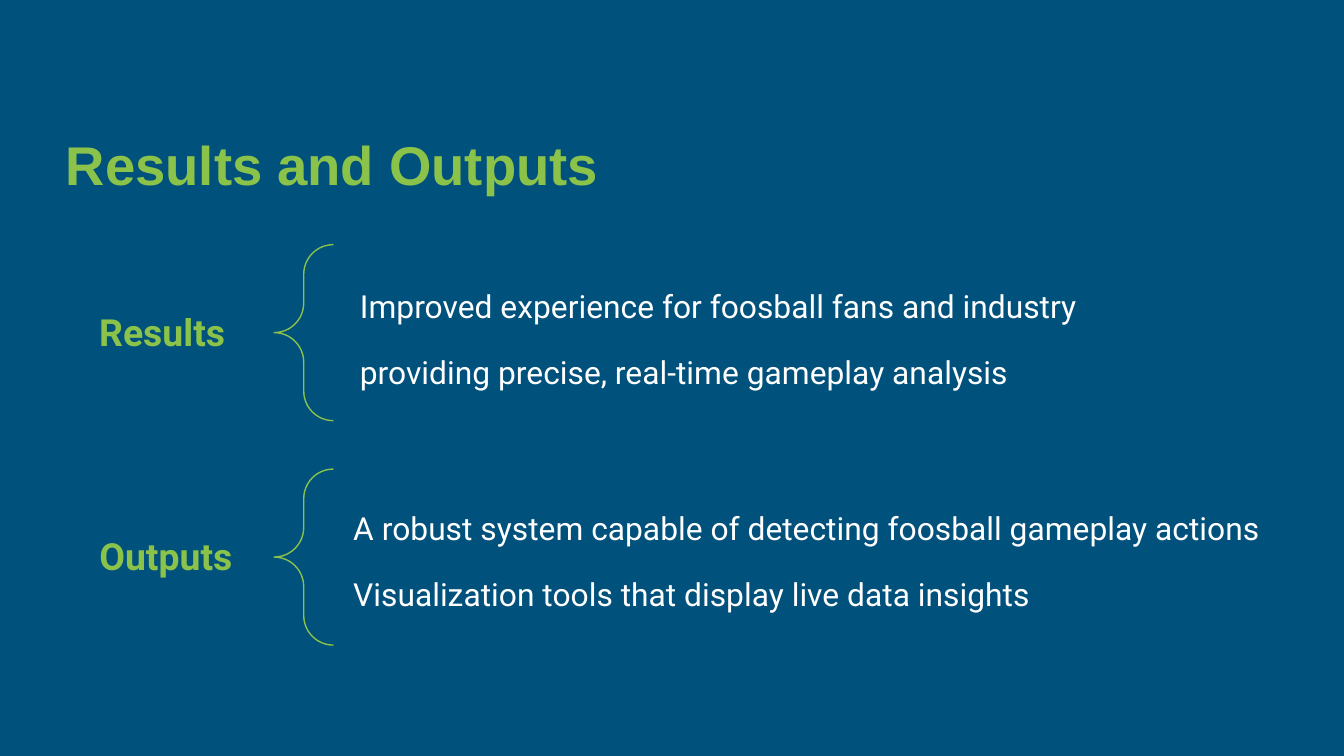
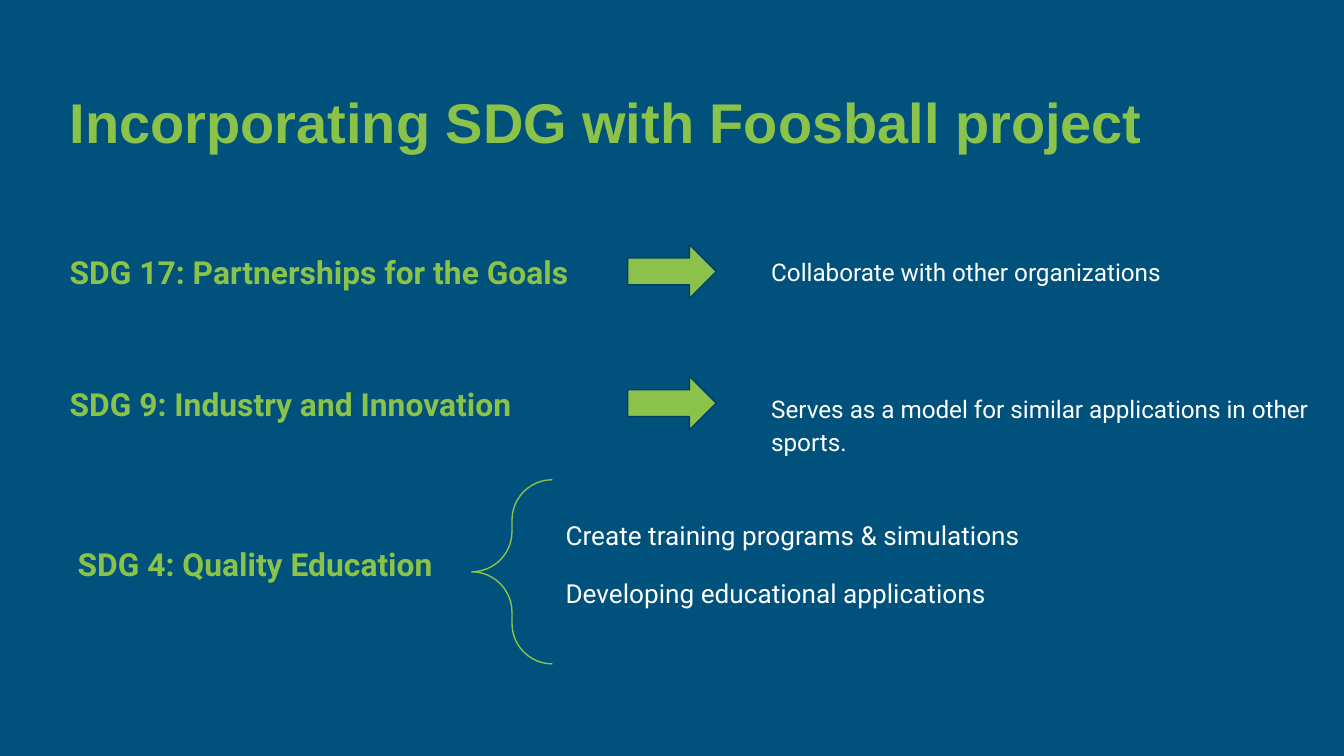
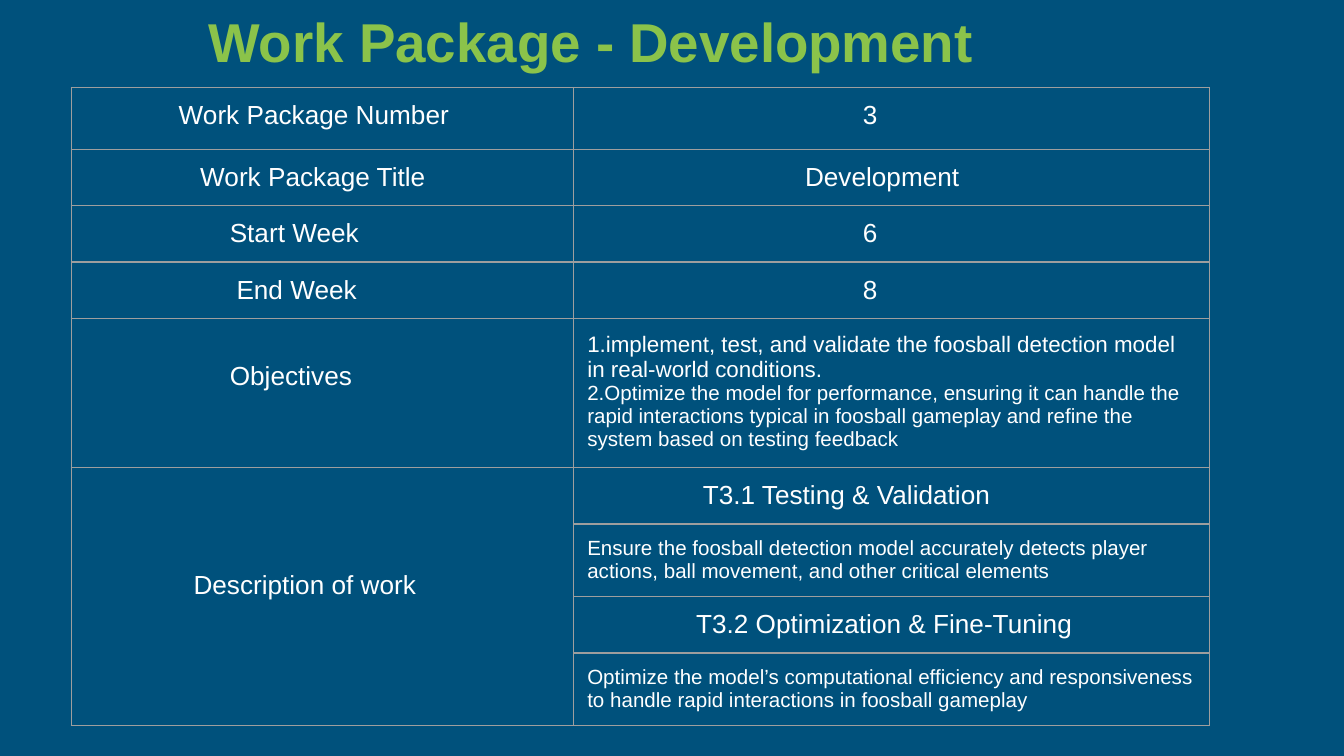
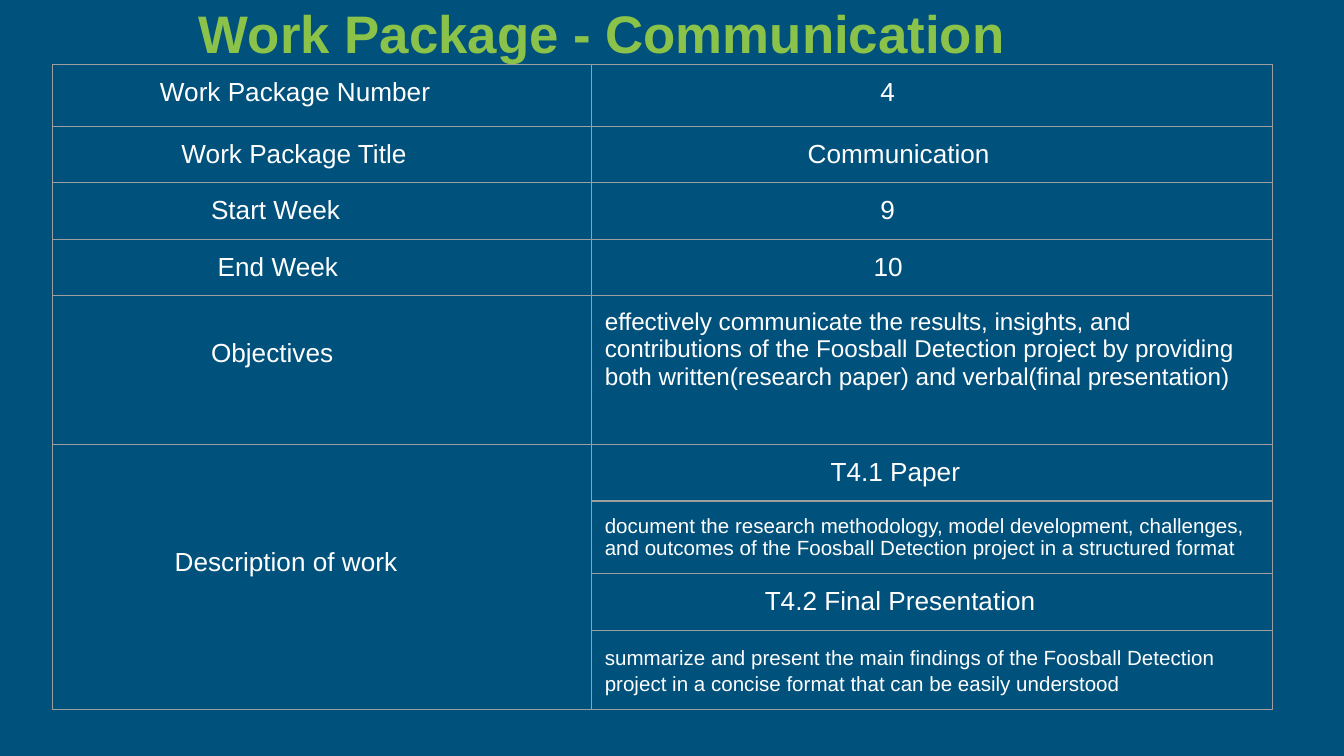
from lxml import etree
from pptx import Presentation
from pptx.dml.color import RGBColor
from pptx.enum import shapes, text
from pptx.oxml import ns
from pptx.util import Inches, Pt

NAVY, GREEN, WHITE = "00517C", "8BC34A", "FFFFFF"
ARROW_EDGE, GRID = "004065", "9E9E9E"
SLIDE_WIDTH = Inches(10)
SLIDE_HEIGHT = SLIDE_WIDTH * 9 // 16
INSET = 0.1
LABEL_INDENTS = (0.7, 0.86, 1.08, 1.13, 1.08, 0.81)
LABELS = ("Work Package Number", "Work Package Title", "Start Week",
          "End Week", "Objectives", "Description of work")
LABEL_DROPS = {"Objectives": 0.22, "Description of work": 0.67}
ROW_HEIGHTS = (0.46, 0.42, 0.42, 0.42, 1.11, 0.42, 0.42, 0.42, 0.42)
LISTED = dict(line_spacing=1.15, before=12)


def color(hex_string):
    return RGBColor.from_string(hex_string)


def inches(*lengths):
    return [Inches(length) for length in lengths]


# Text
def write(frame, lines, size=14, font="Arial", fill=WHITE, bold=False,
          line_spacing=None, before=None, after=None, indent=0):
    """Write one paragraph per line; size may be a tuple with one per line."""
    lines = [lines] if isinstance(lines, str) else lines
    sizes = size if isinstance(size, tuple) else (size,) * len(lines)
    for number, (line, points) in enumerate(zip(lines, sizes)):
        paragraph = frame.add_paragraph() if number else frame.paragraphs[0]
        paragraph.alignment = text.PP_ALIGN.LEFT
        if line_spacing:
            paragraph.line_spacing = line_spacing
        if before is not None:
            paragraph.space_before = Pt(before)
        if after is not None:
            paragraph.space_after = Pt(after)
        if indent:
            properties = paragraph._p.get_or_add_pPr()
            properties.set("marL", str(Inches(indent)))
            properties.set("indent", "0")
        run = paragraph.add_run()
        run.text = line
        run.font.size, run.font.name, run.font.bold = Pt(points), font, bold
        run.font.color.rgb = color(fill)


def set_insets(holder):
    holder.margin_left = holder.margin_right = Inches(INSET)
    holder.margin_top = holder.margin_bottom = Inches(INSET)


def add_text(slide, box, lines, **style):
    frame = slide.shapes.add_textbox(*inches(*box)).text_frame
    frame.word_wrap = True
    frame.auto_size = text.MSO_AUTO_SIZE.SHAPE_TO_FIT_TEXT
    set_insets(frame)
    write(frame, lines, font="Roboto", **style)


def add_titled_slide(deck, title, box, size):
    slide = deck.slides.add_slide(deck.slide_layouts[5])
    heading = slide.shapes.title
    heading.left, heading.top, heading.width, heading.height = inches(*box)
    frame = heading.text_frame
    frame.auto_size = text.MSO_AUTO_SIZE.NONE
    frame.vertical_anchor = text.MSO_ANCHOR.BOTTOM
    set_insets(frame)
    write(frame, title, size=size, fill=GREEN, bold=True)
    return slide


# Shapes
def add_outline(slide, kind, box, edge, fill=None):
    shape = slide.shapes.add_shape(kind, *inches(*box))
    shape.shadow.inherit = False
    shape.adjustments[0] = shape.adjustments[1] = 0.5
    if fill:
        shape.fill.solid()
        shape.fill.fore_color.rgb = color(fill)
    else:
        shape.fill.background()
    shape.line.color.rgb = color(edge)
    shape.line.width = Pt(0.75)


def add_brace_group(slide, left, top, label, label_box, label_size,
                    brace_box, points, points_box, points_size):
    """A label, a brace and its points; brace and points start from the left."""
    label_width, label_height = label_box
    brace_left, brace_width, brace_height = brace_box
    points_left, points_top, points_width, points_height = points_box
    add_text(slide, (left, top + 0.38, label_width, label_height), label,
             size=label_size, fill=GREEN, bold=True)
    add_outline(slide, shapes.MSO_SHAPE.LEFT_BRACE,
                (left + brace_left, top, brace_width, brace_height), GREEN)
    add_text(slide, (left + points_left, top + points_top,
                     points_width, points_height),
             points, size=points_size, **LISTED)


def add_arrow_row(slide, left, top, goal, goal_width, action, action_box):
    """A goal, an arrow and the action that follows from it."""
    drop, width, height = action_box
    add_text(slide, (left, top, goal_width, 0.49), goal,
             size=17, fill=GREEN, bold=True)
    add_outline(slide, shapes.MSO_SHAPE.RIGHT_ARROW,
                (left + 4.25, top + 0.04, 0.66, 0.4), ARROW_EDGE, GREEN)
    add_text(slide, (left + 5.22, top + drop, width, height), action,
             size=13, **LISTED)


# Work package table
def format_cell(cell):
    set_insets(cell)
    properties = cell._tc.get_or_add_tcPr()
    for side in ("lnL", "lnR", "lnT", "lnB"):
        border = etree.SubElement(properties, ns.qn(f"a:{side}"), w=str(Pt(0.75)))
        solid = etree.SubElement(border, ns.qn("a:solidFill"))
        etree.SubElement(solid, ns.qn("a:srgbClr"), val=GRID)
    cell.fill.background()


def add_work_package(slide, left, top, column_widths, details):
    """details holds (lines, format) for each row of the right column."""
    table = slide.shapes.add_table(
        len(ROW_HEIGHTS), 2,
        *inches(left, top, sum(column_widths), sum(ROW_HEIGHTS))).table
    table.first_row = table.horz_banding = False
    for column, width in zip(table.columns, column_widths):
        column.width = Inches(width)
    for row, height in zip(table.rows, ROW_HEIGHTS):
        row.height = Inches(height)
    for cell in table.iter_cells():
        format_cell(cell)
    table.cell(len(LABELS) - 1, 0).merge(table.cell(len(ROW_HEIGHTS) - 1, 0))

    for row, (label, indent) in enumerate(zip(LABELS, LABEL_INDENTS)):
        cell = table.cell(row, 0)
        cell.margin_top = Inches(INSET + LABEL_DROPS.get(label, 0))
        write(cell.text_frame, label, indent=indent)
    for row, (lines, style) in enumerate(details):
        write(table.cell(row, 1).text_frame, lines, **style)


# Slides
def build_results(deck):
    slide = add_titled_slide(deck, "Results and Outputs",
                             (0.39, 0.81, 5.34, 0.75), 29.2)
    groups = (
        ("Results", 1.16, (1.94, 0.17),
         ("Improved experience for foosball fans and industry",
          "providing precise, real-time gameplay analysis")),
        ("Outputs", 1.35, (1.89, 0.15),
         ("A robust system capable of detecting foosball gameplay actions",
          "Visualization tools that display live data insights")),
    )
    for number, (label, width, offset, points) in enumerate(groups):
        add_brace_group(slide, 0.64, 1.82 + 1.67 * number,
                        label, (width, 0.54), 20, (1.4, 0.44, 1.31),
                        points, (*offset, 7.16, 1.5), 17)


def build_goals(deck):
    slide = add_titled_slide(deck, "Incorporating SDG with Foosball project",
                             (0.42, 0.5, 9.15, 0.75), 30)
    add_arrow_row(slide, 0.42, 1.78, "SDG 17: Partnerships for the Goals", 4.01,
                  "Collaborate with other organizations", (0, 4.23, 0.92))
    add_arrow_row(slide, 0.42, 2.76, "SDG 9: Industry and Innovation", 4.51,
                  "Serves as a model for similar applications in other sports.",
                  (0.04, 4.36, 1.18))
    add_brace_group(slide, 0.48, 3.57, "SDG 4: Quality Education",
                    (2.86, 0.79), 17, (3.03, 0.6, 1.37),
                    ("Create training programs & simulations",
                     "Developing educational applications"),
                    (3.63, 0.16, 3.63, 1.38), 14)


def build_development(deck):
    slide = add_titled_slide(deck, "Work Package - Development",
                             (1.45, -0.1, 8.21, 0.75), 29.3)
    add_work_package(slide, 0.53, 0.65, (3.74, 4.73), (
        ("3", dict(indent=2.05)),
        ("Development", dict(indent=1.62)),
        ("6", dict(indent=2.05)),
        ("8", dict(indent=2.05)),
        (("1.implement, test, and validate the foosball detection model in "
          "real-world conditions.",
          "2.Optimize the model for performance, ensuring it can handle the "
          "rapid interactions typical in foosball gameplay and refine the "
          "system based on testing feedback"), dict(size=(12, 11))),
        ("T3.1 Testing & Validation", dict(indent=0.86)),
        ("Ensure the foosball detection model accurately detects player "
         "actions, ball movement, and other critical elements", dict(size=11)),
        ("T3.2 Optimization & Fine-Tuning", dict(indent=0.81)),
        ("Optimize the model’s computational efficiency and responsiveness to "
         "handle rapid interactions in foosball gameplay", dict(size=11)),
    ))


def build_communication(deck):
    slide = add_titled_slide(deck, "Work Package - Communication",
                             (1.38, -0.17, 8.21, 0.75), 28.3)
    add_work_package(slide, 0.39, 0.48, (4.01, 5.07), (
        ("4", dict(indent=2.05)),
        ("Communication", dict(indent=1.51)),
        ("9", dict(indent=2.05)),
        ("10", dict(indent=2)),
        ("effectively communicate the results, insights, and contributions of "
         "the Foosball Detection project by providing both written(research "
         "paper) and verbal(final presentation)", dict(size=13)),
        ("T4.1 Paper", dict(indent=1.68)),
        ("document the research methodology, model development, challenges, "
         "and outcomes of the Foosball Detection project in a structured "
         "format", dict(size=11)),
        ("T4.2 Final Presentation", dict(indent=1.19)),
        ("summarize and present the main findings of the Foosball Detection "
         "project in a concise format that can be easily understood",
         dict(size=11, after=12, **LISTED)),
    ))


def main():
    deck = Presentation()
    deck.slide_width, deck.slide_height = SLIDE_WIDTH, SLIDE_HEIGHT
    background = deck.slide_master.background.fill
    background.solid()
    background.fore_color.rgb = color(NAVY)
    build_results(deck)
    build_goals(deck)
    build_development(deck)
    build_communication(deck)
    deck.save("out.pptx")


if __name__ == "__main__":
    main()
